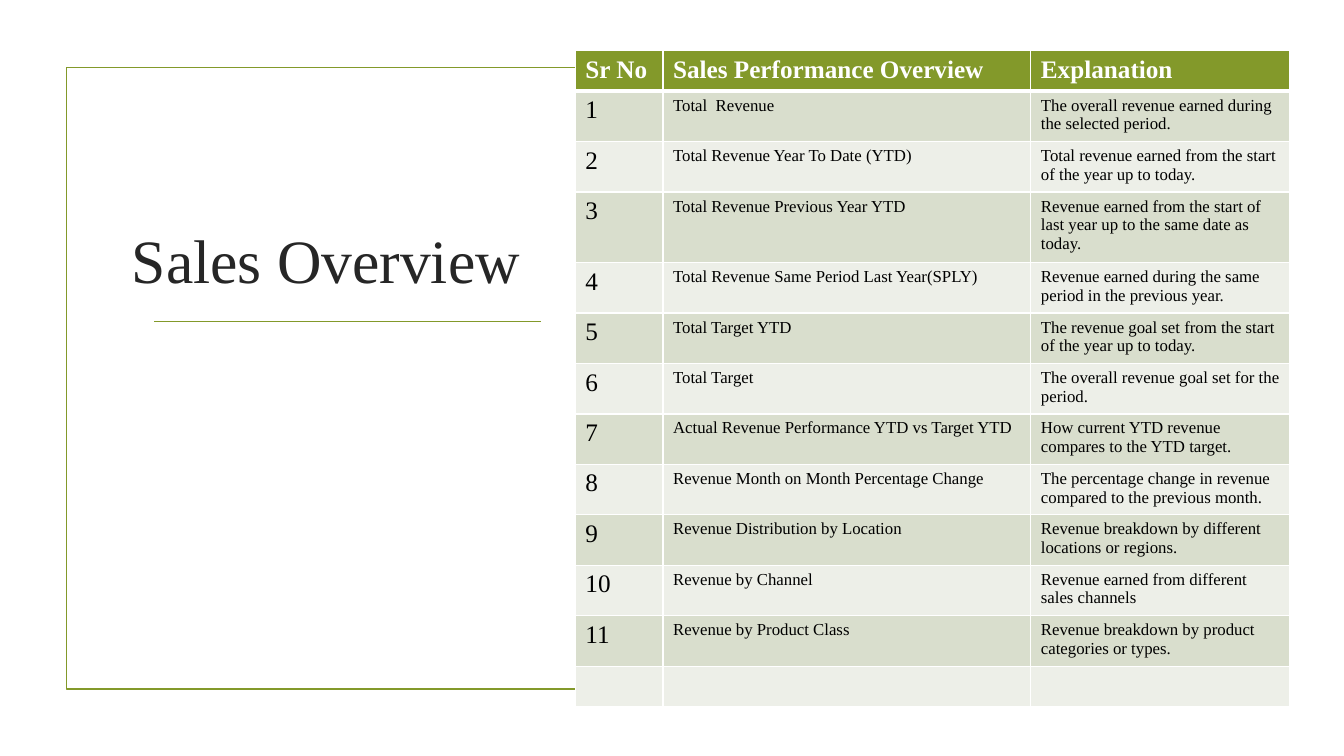
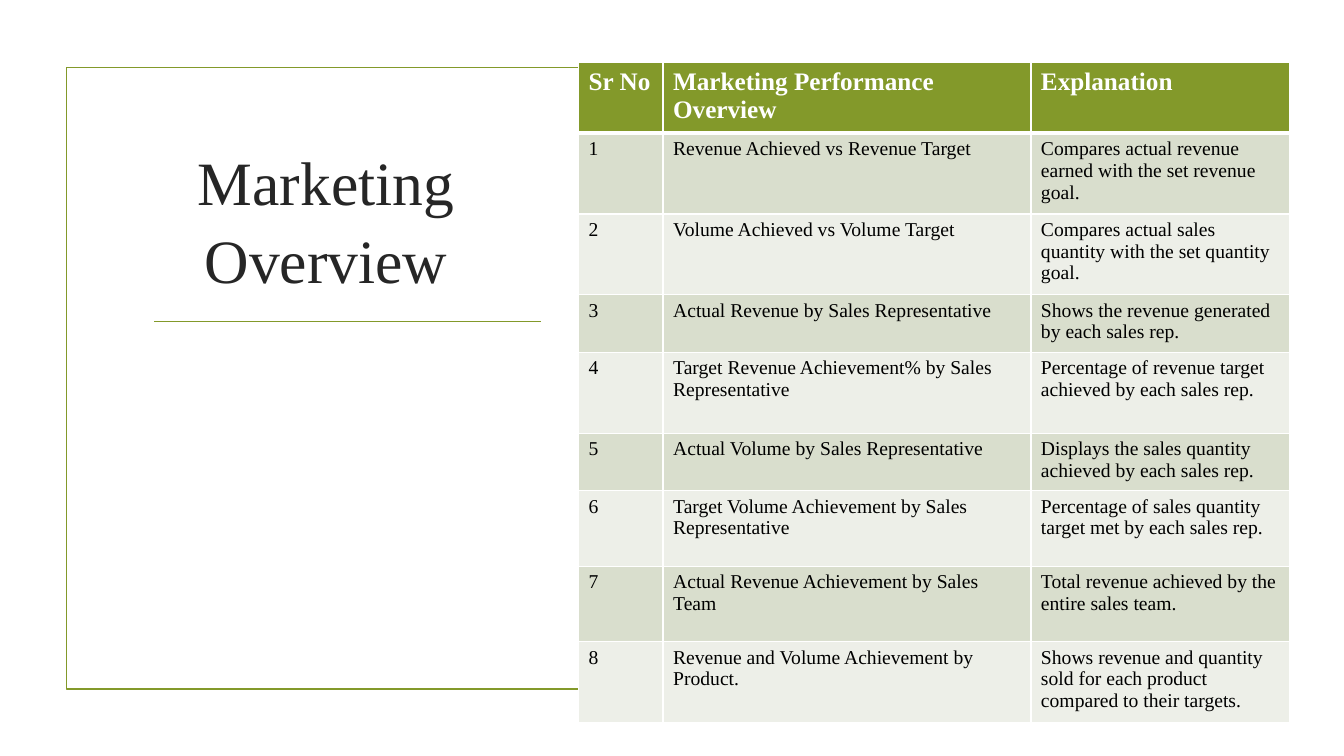
from lxml import etree
from pptx import Presentation
from pptx.dml.color import RGBColor
from pptx.enum.shapes import MSO_CONNECTOR, MSO_SHAPE
from pptx.enum.text import MSO_ANCHOR, PP_ALIGN
from pptx.oxml.ns import qn
from pptx.util import Cm, Pt

RECTANGLE = MSO_SHAPE.RECTANGLE
STRAIGHT = MSO_CONNECTOR.STRAIGHT
BOTTOM = MSO_ANCHOR.BOTTOM
CENTER = PP_ALIGN.CENTER

COLORS = {
    "accent": "83992A",
    "title": "262626",
    "text": "000000",
    "white": "FFFFFF",
    "band_dark": "D9DECD",
    "band_light": "EDEFE8",
}
FONT = "Times New Roman"
TITLE_FORMAT = {"name": FONT, "size": Pt(44), "bold": False}
HEADER_FORMAT = {"name": FONT, "size": Pt(18), "bold": True}

# Boxes are left, top, width, height in centimetres.
PAGE_WIDTH, PAGE_HEIGHT = 33.87, 19.05
FRAME_BOX = (1.68, 1.7, 30.48, 15.67)
TITLE_BOX = (3.05, 5.64, 10.34, 1.93)
RULE_BOX = (3.89, 8.1, 9.75, 0)
TABLE_RIGHT = 32.51
TOPIC_WIDTH, EXPLANATION_WIDTH = 9.27, 6.53

SALES = {
    "title": "Sales Overview",
    "topic": "Sales Performance Overview",
    "left": 14.5,
    "top": 1.28,
    "number_size": 18,
    "text_size": 12,
    "heights": [0.96] + [1.22] * 2 + [1.7] + [1.22] * 8 + [0.97],
    "rows": [
        ("Total  Revenue", "The overall revenue earned during the selected period."),
        ("Total Revenue Year To Date (YTD)",
         "Total revenue earned from the start of the year up to today."),
        ("Total Revenue Previous Year YTD",
         "Revenue earned from the start of last year up to the same date as today."),
        ("Total Revenue Same Period Last Year(SPLY)",
         "Revenue earned during the same period in the previous year."),
        ("Total Target YTD",
         "The revenue goal set from the start of the year up to today."),
        ("Total Target", "The overall revenue goal set for the period."),
        ("Actual Revenue Performance YTD vs Target YTD",
         "How current YTD revenue compares to the YTD target."),
        ("Revenue Month on Month Percentage Change",
         "The percentage change in revenue compared to the previous month."),
        ("Revenue Distribution by Location",
         "Revenue breakdown by different locations or regions."),
        ("Revenue by Channel", "Revenue earned from different sales channels"),
        ("Revenue by Product Class",
         "Revenue breakdown by product categories or types."),
    ],
}
MARKETING = {
    "title": "Marketing Overview",
    "topic": "Marketing Performance Overview",
    "left": 14.58,
    "top": 1.58,
    "number_size": 14,
    "text_size": 14,
    "heights": [1.64, 1.9, 1.9, 1.45, 2.04, 1.45, 1.9, 1.9, 1.9],
    "rows": [
        ("Revenue Achieved vs Revenue Target",
         "Compares actual revenue earned with the set revenue goal."),
        ("Volume Achieved vs Volume Target",
         "Compares actual sales quantity with the set quantity goal."),
        ("Actual Revenue by Sales Representative",
         "Shows the revenue generated by each sales rep."),
        ("Target Revenue Achievement% by Sales Representative",
         "Percentage of revenue target achieved by each sales rep."),
        ("Actual Volume by Sales Representative",
         "Displays the sales quantity achieved by each sales rep."),
        ("Target Volume Achievement by Sales Representative",
         "Percentage of sales quantity target met by each sales rep."),
        ("Actual Revenue Achievement by Sales Team",
         "Total revenue achieved by the entire sales team."),
        ("Revenue and Volume Achievement by Product.",
         "Shows revenue and quantity sold for each product compared to their targets."),
    ],
}


def color(name):
    return RGBColor.from_string(COLORS[name])


def lengths(box):
    return [Cm(value) for value in box]


def write(para, text, formats, color_name):
    span = para.add_run()
    span.text = text
    for name, value in formats.items():
        setattr(span.font, name, value)
    span.font.color.rgb = color(color_name)


def style_line(line):
    line.color.rgb = color("accent")
    line.width = Pt(1.25)


def add_frame(page, box):
    frame = page.shapes.add_shape(RECTANGLE, *lengths(box))
    frame.shadow.inherit = False
    frame.fill.background()
    style_line(frame.line)


def add_rule(page, box):
    left, top, width, height = lengths(box)
    rule = page.shapes.add_connector(STRAIGHT, left, top, left + width, top + height)
    style_line(rule.line)
    etree.SubElement(rule._element.spPr, qn("a:effectLst"))


def add_title(page, box, text):
    title = page.shapes.add_textbox(*lengths(box))
    frame = title.text_frame
    frame.word_wrap = True
    frame.vertical_anchor = BOTTOM
    frame.margin_left = frame.margin_right = Cm(0.2)
    para = frame.paragraphs[0]
    para.alignment = CENTER
    para.line_spacing = 1.05
    write(para, text, TITLE_FORMAT, "title")


def add_borders(cell, widths):
    """Draw white borders; widths gives points by side letter."""
    properties = cell._tc.get_or_add_tcPr()
    for side, width in widths.items():
        line = etree.SubElement(properties, qn("a:ln" + side), w=str(Pt(width)))
        fill = etree.SubElement(line, qn("a:solidFill"))
        etree.SubElement(fill, qn("a:srgbClr"), val=COLORS["white"])


def fill_cell(cell, row, text, formats):
    """Give a cell its borders, band colour and text by its row."""
    add_borders(cell, {"L": 1, "R": 1, "T": 3 if row == 1 else 1, "B": 1 if row else 3})
    band = ("band_dark" if row % 2 else "band_light") if row else "accent"
    cell.fill.solid()
    cell.fill.fore_color.rgb = color(band)
    if text:
        write(cell.text_frame.paragraphs[0], text, formats, "text" if row else "white")


def add_overview_table(page, box, topic):
    """Place the numbered table; row heights come from the topic."""
    heights = topic["heights"]
    table = page.shapes.add_table(len(heights), 3, *lengths(box)).table
    table.first_row = table.horz_banding = False
    widths = (box[2] - TOPIC_WIDTH - EXPLANATION_WIDTH, TOPIC_WIDTH, EXPLANATION_WIDTH)
    for column, width in zip(table.columns, widths):
        column.width = Cm(width)

    rows = [("Sr No", topic["topic"], "Explanation")]
    rows += [(str(number), *texts) for number, texts in enumerate(topic["rows"], 1)]
    rows += [("", "", "")] * (len(heights) - len(rows))
    sizes = (topic["number_size"], topic["text_size"], topic["text_size"])
    for row, (height, texts) in enumerate(zip(heights, rows)):
        table.rows[row].height = Cm(height)
        for column, (text, size) in enumerate(zip(texts, sizes)):
            body_format = {"name": FONT, "size": Pt(size), "bold": False}
            fill_cell(table.cell(row, column), row, text,
                      body_format if row else HEADER_FORMAT)


def add_overview_page(deck, topic):
    page = deck.slides.add_slide(deck.slide_layouts[6])
    add_frame(page, FRAME_BOX)
    add_rule(page, RULE_BOX)
    add_title(page, TITLE_BOX, topic["title"])
    table_box = (topic["left"], topic["top"],
                 TABLE_RIGHT - topic["left"], sum(topic["heights"]))
    add_overview_table(page, table_box, topic)


def main():
    deck = Presentation()
    deck.slide_width, deck.slide_height = Cm(PAGE_WIDTH), Cm(PAGE_HEIGHT)
    for topic in (SALES, MARKETING):
        add_overview_page(deck, topic)
    deck.save("out.pptx")


if __name__ == "__main__":
    main()
